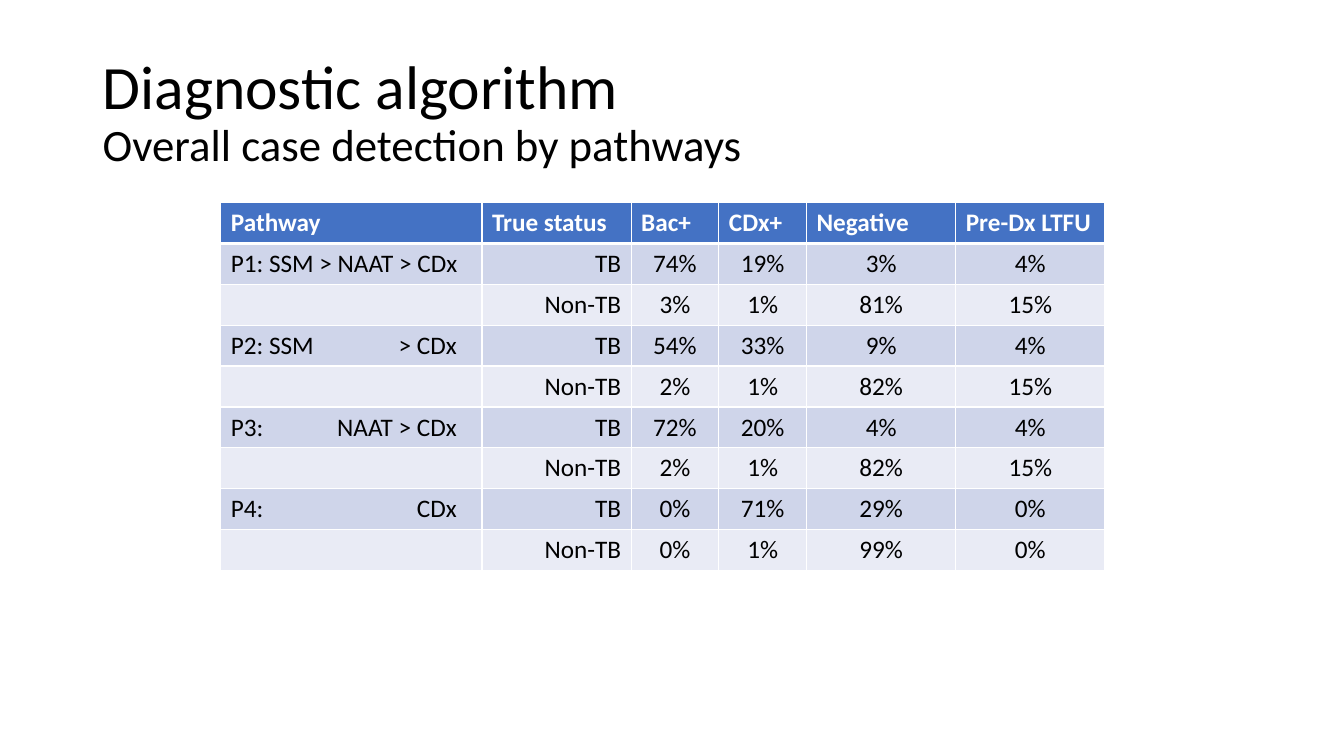
from lxml import etree
from pptx import Presentation
from pptx.dml.color import RGBColor
from pptx.enum.text import MSO_ANCHOR, PP_ALIGN
from pptx.oxml.ns import qn
from pptx.util import Emu, Inches, Pt

TITLE_LINES = [("Diagnostic algorithm", 44), ("Overall case detection by pathways", 32)]
HEADERS = ["Pathway", "True status", "Bac+", "CDx+", "Negative", "Pre-Dx LTFU"]
PATHWAYS = [
    ("P1: SSM > NAAT > CDx", ["74%", "19%", "3%", "4%"], ["3%", "1%", "81%", "15%"]),
    ("P2: SSM\t> CDx", ["54%", "33%", "9%", "4%"], ["2%", "1%", "82%", "15%"]),
    ("P3:\tNAAT > CDx", ["72%", "20%", "4%", "4%"], ["2%", "1%", "82%", "15%"]),
    ("P4:\tCDx", ["0%", "71%", "29%", "0%"], ["0%", "1%", "99%", "0%"]),
]
COLUMN_WIDTHS = [2.59, 1.48, 0.87, 0.87, 1.48, 1.48]
COLUMN_ALIGNMENTS = [PP_ALIGN.LEFT, PP_ALIGN.RIGHT] + [PP_ALIGN.CENTER] * 4
TABLE_HEIGHT = 3.65
PATHWAY_TAB = 2.24
FONT = "Calibri"
BLACK = RGBColor(0x00, 0x00, 0x00)
WHITE = RGBColor(0xFF, 0xFF, 0xFF)
HEADER_BLUE = RGBColor(0x44, 0x72, 0xC4)
BAND_DARK = RGBColor(0xCF, 0xD5, 0xEA)
BAND_LIGHT = RGBColor(0xE9, 0xEB, 0xF5)


def add_title(slide):
    box = slide.shapes.add_textbox(Inches(0.92), Inches(0.4), Inches(11.5), Inches(1.45))
    frame = box.text_frame
    frame.word_wrap = True
    frame.vertical_anchor = MSO_ANCHOR.MIDDLE
    paragraph = frame.paragraphs[0]
    paragraph.line_spacing = 0.9
    paragraph.font.name = FONT
    paragraph.font.color.rgb = BLACK
    for index, (line, size) in enumerate(TITLE_LINES):
        if index:
            paragraph.add_line_break()
        run = paragraph.add_run()
        run.text = line
        run.font.size = Pt(size)


def set_borders(cell, widths):
    properties = cell._tc.get_or_add_tcPr()
    for index, (side, width) in enumerate(widths.items()):
        line = etree.Element(qn(f"a:ln{side}"), w=str(Pt(width)))
        fill = etree.SubElement(line, qn("a:solidFill"))
        etree.SubElement(fill, qn("a:srgbClr"), val=str(WHITE))
        properties.insert(index, line)


def add_right_tab(paragraph, position):
    tabs = etree.SubElement(paragraph._p.get_or_add_pPr(), qn("a:tabLst"))
    etree.SubElement(tabs, qn("a:tab"), pos=str(Inches(position)), algn="r")
    properties = paragraph._p.get_or_add_pPr()
    defaults = properties.find(qn("a:defRPr"))
    if defaults is not None:
        defaults.addprevious(tabs)


def fill_cell(cell, text, row, column):
    header = row == 0
    cell.fill.solid()
    cell.fill.fore_color.rgb = HEADER_BLUE if header else BAND_DARK if row % 2 else BAND_LIGHT
    set_borders(cell, {"L": 1, "R": 1, "T": 3 if row == 1 else 1, "B": 3 if header else 1})
    cell.text = text
    paragraph = cell.text_frame.paragraphs[0]
    paragraph.alignment = PP_ALIGN.LEFT if header else COLUMN_ALIGNMENTS[column]
    paragraph.font.name = FONT
    paragraph.font.size = Pt(18)
    paragraph.font.bold = header
    paragraph.font.color.rgb = WHITE if header else BLACK
    if "\t" in text:
        add_right_tab(paragraph, PATHWAY_TAB)


def add_detection_table(slide):
    rows = [HEADERS]
    for pathway, tb, non_tb in PATHWAYS:
        rows += [[pathway, "TB", *tb], ["", "Non-TB", *non_tb]]
    table = slide.shapes.add_table(
        len(rows), len(HEADERS), Inches(2.19), Inches(2.01),
        Inches(sum(COLUMN_WIDTHS)), Inches(TABLE_HEIGHT),
    ).table
    for column, width in zip(table.columns, COLUMN_WIDTHS):
        column.width = Inches(width)
    for row_index, values in enumerate(rows):
        table.rows[row_index].height = Emu(Inches(TABLE_HEIGHT) // len(rows))
        for column_index, value in enumerate(values):
            fill_cell(table.cell(row_index, column_index), value, row_index, column_index)


def main():
    presentation = Presentation()
    presentation.slide_width = Inches(13.33)
    presentation.slide_height = Inches(7.5)
    slide = presentation.slides.add_slide(presentation.slide_layouts[6])
    add_title(slide)
    add_detection_table(slide)
    presentation.save("out.pptx")


if __name__ == "__main__":
    main()
